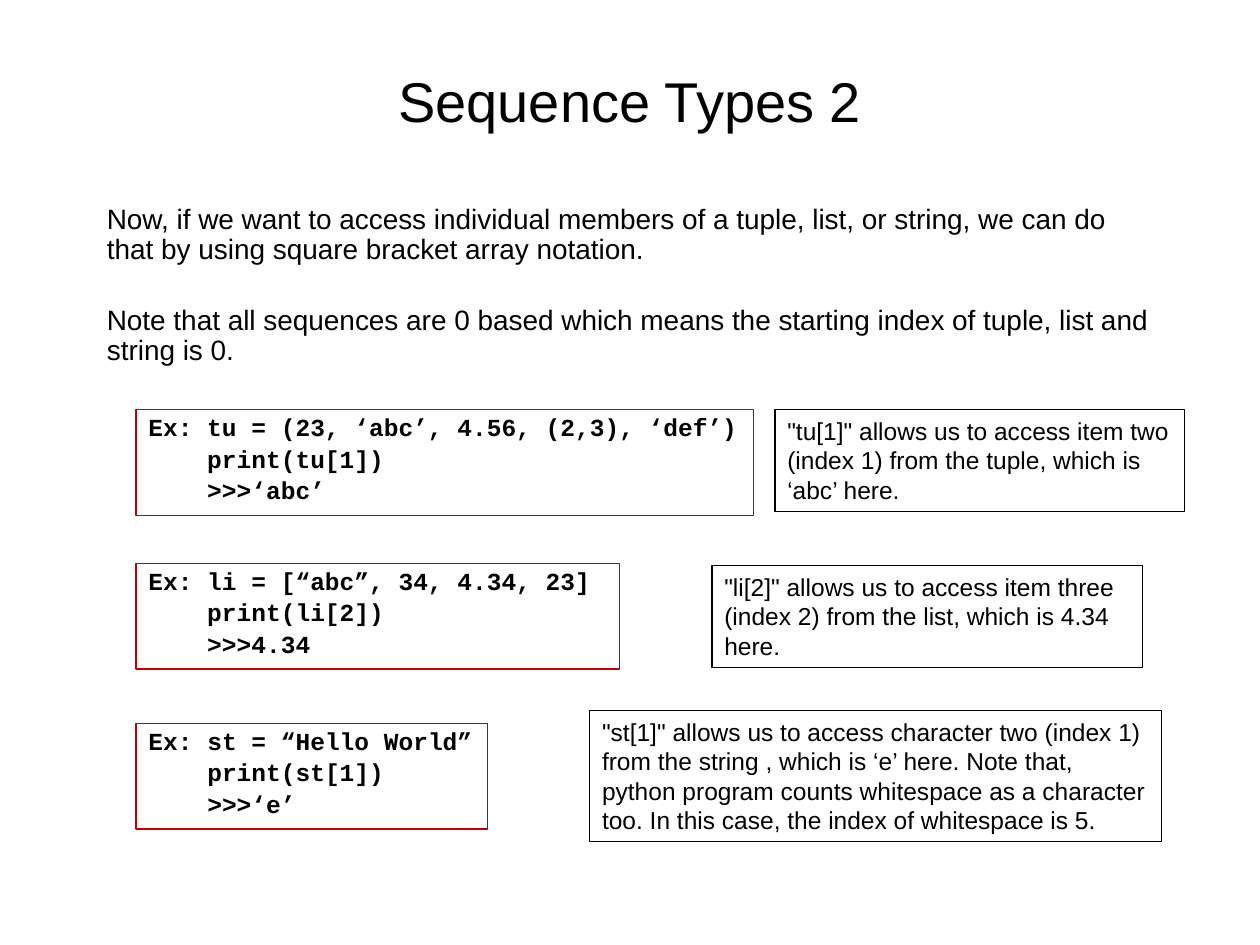
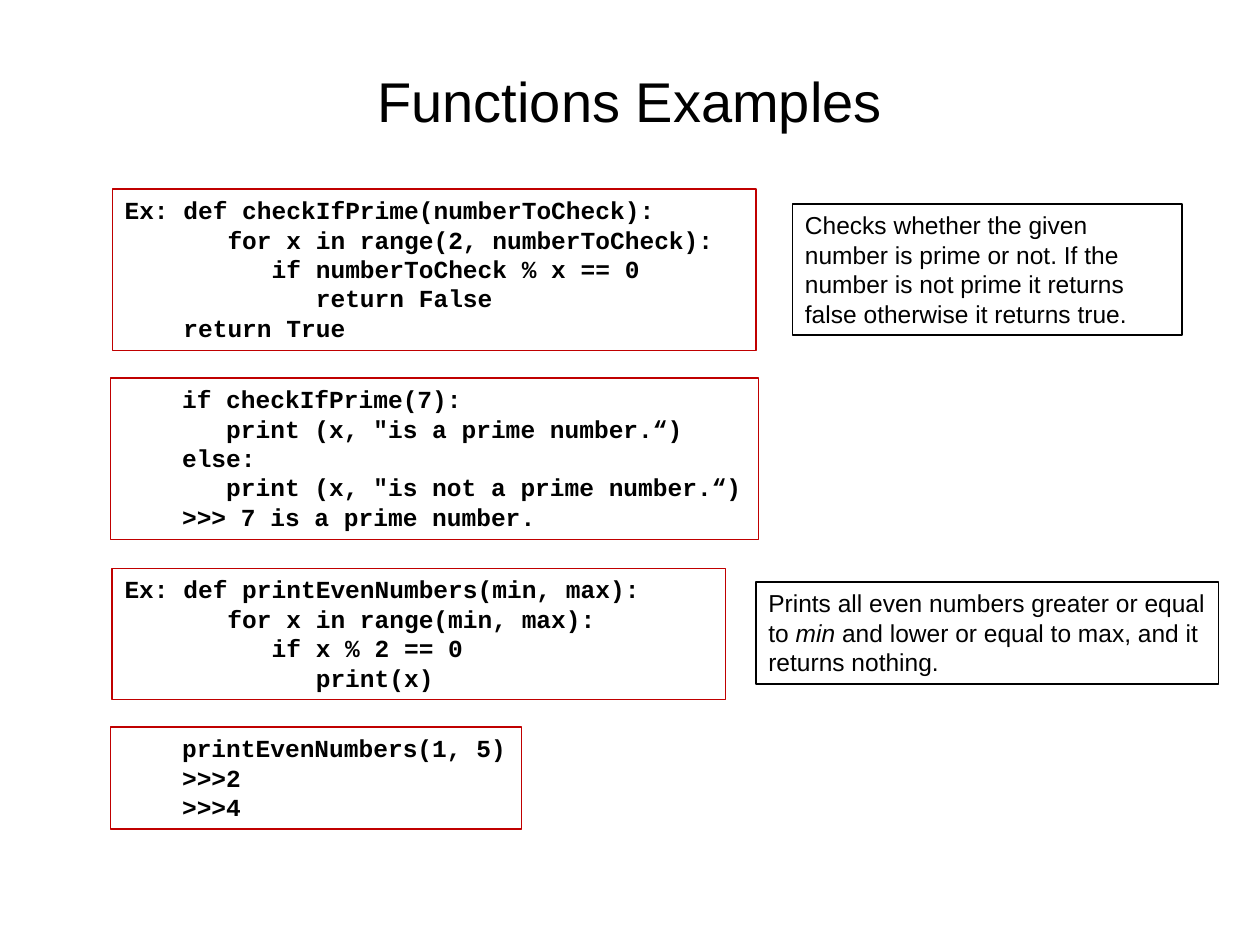
from pptx import Presentation
from pptx.dml.color import RGBColor
from pptx.enum.shapes import MSO_SHAPE
from pptx.enum.text import MSO_ANCHOR, MSO_AUTO_SIZE, PP_ALIGN
from pptx.util import Inches, Pt

BLACK = RGBColor(0x00, 0x00, 0x00)
WHITE = RGBColor(0xFF, 0xFF, 0xFF)
RED = RGBColor(0xC0, 0x00, 0x00)
TEXT_FONT, CODE_FONT = "Arial", "Courier New"
BLANK_LAYOUT = 6


def write(frame, paragraphs, size=14, font=TEXT_FONT, bold=False,
          align=PP_ALIGN.LEFT, line_spacing=None, gap=0):
    """Fill a frame; a paragraph is a string or a list of (text, italic) spans."""
    for index, content in enumerate(paragraphs):
        para = frame.add_paragraph() if index else frame.paragraphs[0]
        para.alignment = align
        para.line_spacing = line_spacing
        para.space_before = Pt(gap if index else 0)
        spans = [(content, False)] if isinstance(content, str) else content
        for text, italic in spans:
            span = para.add_run()
            span.text = text
            span.font.name = font
            span.font.size = Pt(size)
            span.font.bold = bold
            span.font.italic = italic
            span.font.color.rgb = BLACK


class Lesson:
    """Holds the deck, its style and the page being built."""

    def __init__(self):
        self.deck = Presentation()
        self.deck.slide_width = Inches(10)
        self.deck.slide_height = Inches(7.5)
        self.page = None

    def add_page(self, title):
        self.page = self.deck.slides.add_slide(self.deck.slide_layouts[BLANK_LAYOUT])
        self.page.background.fill.solid()
        self.page.background.fill.fore_color.rgb = WHITE
        frame = self.text_area(0.17, 1.25)
        frame.vertical_anchor = MSO_ANCHOR.MIDDLE
        write(frame, [title], size=32, align=PP_ALIGN.CENTER)

    def text_area(self, top, height):
        box = self.page.shapes.add_textbox(
            Inches(0.75), Inches(top), Inches(8.5), Inches(height))
        box.text_frame.word_wrap = True
        return box.text_frame

    def body(self, paragraphs):
        write(self.text_area(1.58, 5.42), paragraphs, size=16, line_spacing=0.9, gap=23)

    def outlined_box(self, left, top, width, height, color, wrap=True):
        box = self.page.shapes.add_shape(
            MSO_SHAPE.RECTANGLE, Inches(left), Inches(top), Inches(width), Inches(height))
        box.shadow.inherit = False
        box.fill.background()
        box.line.color.rgb = color
        box.line.width = Pt(0.75)
        frame = box.text_frame
        frame.word_wrap = wrap
        frame.auto_size = MSO_AUTO_SIZE.SHAPE_TO_FIT_TEXT
        frame.vertical_anchor = MSO_ANCHOR.TOP
        return frame

    def note(self, left, top, width, height, content):
        write(self.outlined_box(left, top, width, height, BLACK), [content])

    def code(self, left, top, width, height, lines, wrap=False, **spacing):
        frame = self.outlined_box(left, top, width, height, RED, wrap)
        write(frame, lines, font=CODE_FONT, bold=True, **spacing)


def sequence_types(lesson):
    lesson.add_page("Sequence Types 2")
    lesson.body([
        "Now, if we want to access individual members of a tuple, list, or string, "
        "we can do that by using square bracket array notation.",
        "Note that all sequences are 0 based which means the starting index of tuple, "
        "list and string is 0.",
    ])
    lesson.note(6.15, 3.25, 3.25, 0.81,
                "\"tu[1]\" allows us to access item two (index 1) from the tuple, "
                "which is ‘abc’ here.")
    lesson.note(5.65, 4.49, 3.42, 0.81,
                "\"li[2]\" allows us to access item three (index 2) from the list, "
                "which is 4.34 here.")
    lesson.note(4.68, 5.64, 4.54, 1.04,
                "\"st[1]\" allows us to access character two (index 1) from the string , "
                "which is ‘e’ here. Note that, python program counts whitespace as a "
                "character too. In this case, the index of whitespace is 5.")
    examples = [
        (3.25, 4.9, "tu = (23, ‘abc’, 4.56, (2,3), ‘def’)", "tu[1]", "‘abc’"),
        (4.47, 3.84, "li = [“abc”, 34, 4.34, 23]", "li[2]", "4.34"),
        (5.74, 2.79, "st = “Hello World”", "st[1]", "‘e’"),
    ]
    for top, width, assignment, item, result in examples:
        lines = [f"Ex: {assignment}", f"    print({item})", f"    >>>{result}"]
        lesson.code(1.08, top, width, 0.84, lines, line_spacing=0.9, gap=2.8)


def functions_examples(lesson):
    lesson.add_page("Functions Examples")
    lesson.code(0.89, 1.5, 5.11, 1.28, [
        "Ex: def checkIfPrime(numberToCheck):",
        "       for x in range(2, numberToCheck):",
        "          if numberToCheck % x == 0",
        "             return False",
        "    return True",
    ], wrap=True)
    lesson.note(6.29, 1.62, 3.09, 1.04,
                "Checks whether the given number is prime or not. If the number is not "
                "prime it returns false otherwise it returns true.")
    lesson.code(0.89, 4.51, 4.87, 1.04, [
        "Ex: def printEvenNumbers(min, max):",
        "       for x in range(min, max):",
        "          if x % 2 == 0",
        "             print(x)",
    ], wrap=True)
    lesson.note(6, 4.62, 3.67, 0.81, [
        ("Prints all even numbers greater or equal to ", False),
        ("min ", True),
        ("and lower or equal to max, and it returns nothing.", False),
    ])
    lesson.code(0.88, 3, 5.14, 1.28, [
        "    if checkIfPrime(7):",
        "       print (x, \"is a prime number.“)",
        "    else:",
        "       print (x, \"is not a prime number.“)",
        "    >>> 7 is a prime number.",
    ])
    lesson.code(0.88, 5.77, 3.26, 0.81, [
        "    printEvenNumbers(1, 5)",
        "    >>>2",
        "    >>>4",
    ])


def main():
    lesson = Lesson()
    sequence_types(lesson)
    functions_examples(lesson)
    lesson.deck.save("out.pptx")


if __name__ == "__main__":
    main()
